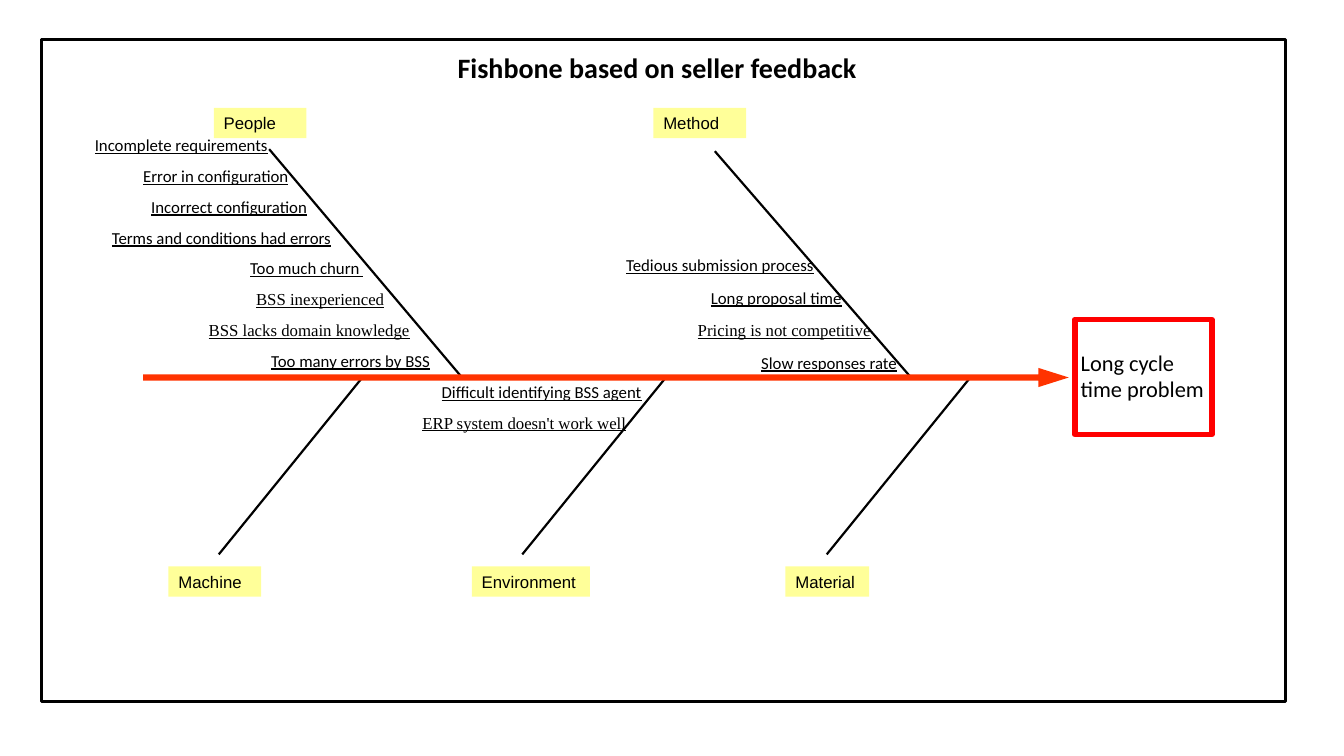
from pptx import Presentation
from pptx.dml.color import RGBColor
from pptx.enum.shapes import MSO_CONNECTOR, MSO_SHAPE
from pptx.enum.text import MSO_ANCHOR, PP_ALIGN
from pptx.oxml.ns import qn
from pptx.util import Inches, Pt
from lxml import etree

RECT, ARROW = MSO_SHAPE.RECTANGLE, MSO_SHAPE.RIGHT_ARROW
STRAIGHT = MSO_CONNECTOR.STRAIGHT
TOP, LEFT = MSO_ANCHOR.TOP, PP_ALIGN.LEFT
SANS, SERIF, LABEL = "Calibri", "Times New Roman", "Arial"
BLACK, RED, ORANGE, YELLOW = "000000", "FF0000", "FF3300", "FFFF99"

TITLE = "Fishbone based on seller feedback"
EFFECT = ["Long cycle", "time problem"]

CATEGORIES = [
    ("People", 2.12, 1.07, 0.92),
    ("Method", 6.48, 1.07, 0.92),
    ("Machine", 1.67, 5.62, 0.92),
    ("Environment", 4.68, 5.62, 1.17),
    ("Material", 7.79, 5.62, 0.83),
]
UPPER_BONES = [(2.67, 1.48, 4.57, 3.73), (7.09, 1.5, 9.04, 3.75)]
LOWER_BONES = [(x, 5.5, x + 1.42, 3.75) for x in (2.17, 5.18, 8.2)]

CAUSES = [
    (1.34, 0.305, [
        ("Incomplete requirements", 0.93, 1.75, SANS),
        ("Error in configuration", 1.41, 1.75, SANS),
        ("Incorrect configuration", 1.49, 1.67, SANS),
        ("Terms and conditions had errors", 1.1, 2.33, SANS),
        ("Too much churn ", 2.47, 1.18, SANS),
        ("BSS inexperienced", 2.53, 2.06, SERIF),
        ("BSS lacks domain knowledge", 2.06, 2.14, SERIF),
        ("Too many errors by BSS", 2.68, 1.76, SANS),
    ]),
    (2.53, 0.323, [
        ("Tedious submission process", 6.2, 2.75, SANS),
        ("Long proposal time", 7.04, 2.19, SANS),
        ("Pricing is not competitive", 6.91, 1.85, SERIF),
        ("Slow responses rate", 7.54, 1.9, SANS),
    ]),
    (3.79, 0.3, [
        ("Difficult identifying BSS agent", 4.37, 2.11, SANS),
        ("ERP system doesn't work well", 4.18, 2.1, SERIF),
    ]),
]

prs = Presentation()
prs.slide_width, prs.slide_height = Inches(13.33), Inches(7.5)
s = prs.slides.add_slide(prs.slide_layouts[6])


def color(value):
    return RGBColor.from_string(value)


def add_box(kind, x, y, w, h, fill=None, line=None, width=1):
    sp = s.shapes.add_shape(kind, Inches(x), Inches(y), Inches(w), Inches(h))
    sp.shadow.inherit = False
    if fill:
        sp.fill.solid()
        sp.fill.fore_color.rgb = color(fill)
    else:
        sp.fill.background()
    if line:
        sp.line.color.rgb = color(line)
        sp.line.width = Pt(width)
    else:
        sp.line.fill.background()
    return sp


def add_text_box(x, y, w, h):
    return s.shapes.add_textbox(Inches(x), Inches(y), Inches(w), Inches(h))


def write(sp, lines, size, font, margins=(0.1, 0.05, 0.1, 0.05),
          wrap=True, bold=False, underline=False, before=0):
    tf = sp.text_frame
    tf.word_wrap = wrap
    tf.vertical_anchor = TOP
    tf.margin_left, tf.margin_top, tf.margin_right, tf.margin_bottom = map(Inches, margins)
    for i, line in enumerate(lines):
        p = tf.add_paragraph() if i else tf.paragraphs[0]
        p.alignment = LEFT
        p.space_before = Pt(before)
        r = p.add_run()
        r.text = line
        r.font.size, r.font.name = Pt(size), font
        r.font.bold, r.font.underline = bold, underline
        r.font.color.rgb = color(BLACK)


for x1, y1, x2, y2 in UPPER_BONES + LOWER_BONES:
    bone = s.shapes.add_connector(STRAIGHT, Inches(x1), Inches(y1), Inches(x2), Inches(y2))
    bone.line.color.rgb = color(BLACK)
    bone.line.width = Pt(1.56)
    etree.SubElement(bone._element.spPr, qn("a:effectLst"))

for name, x, y, w in CATEGORIES:
    write(add_box(RECT, x, y, w, 0.3, YELLOW), [name], 12, LABEL,
          margins=(0.1, 0.05, 0, 0), before=3.3)

for top, pitch, causes in CAUSES:
    for row, (cause, x, w, font) in enumerate(causes):
        write(add_text_box(x, top + row * pitch, w, 0.2), [cause], 12, font,
              margins=(0.01, 0, 0, 0), underline=True)

add_box(RECT, 0.41, 0.39, 12.34, 6.57, line=BLACK, width=2.28)

spine = add_box(ARROW, 1.42, 3.65, 9.18, 0.19, ORANGE)
spine.adjustments[0] = 0.32
spine.adjustments[1] = 1.58

write(add_text_box(4.44, 0.45, 4.4, 0.44), [TITLE], 20, SANS, bold=True)
add_box(RECT, 10.66, 3.17, 1.36, 1.14, line=RED, width=4)
write(add_text_box(10.62, 3.41, 1.44, 0.64), EFFECT, 16, SANS, wrap=False)

prs.save("out.pptx")
